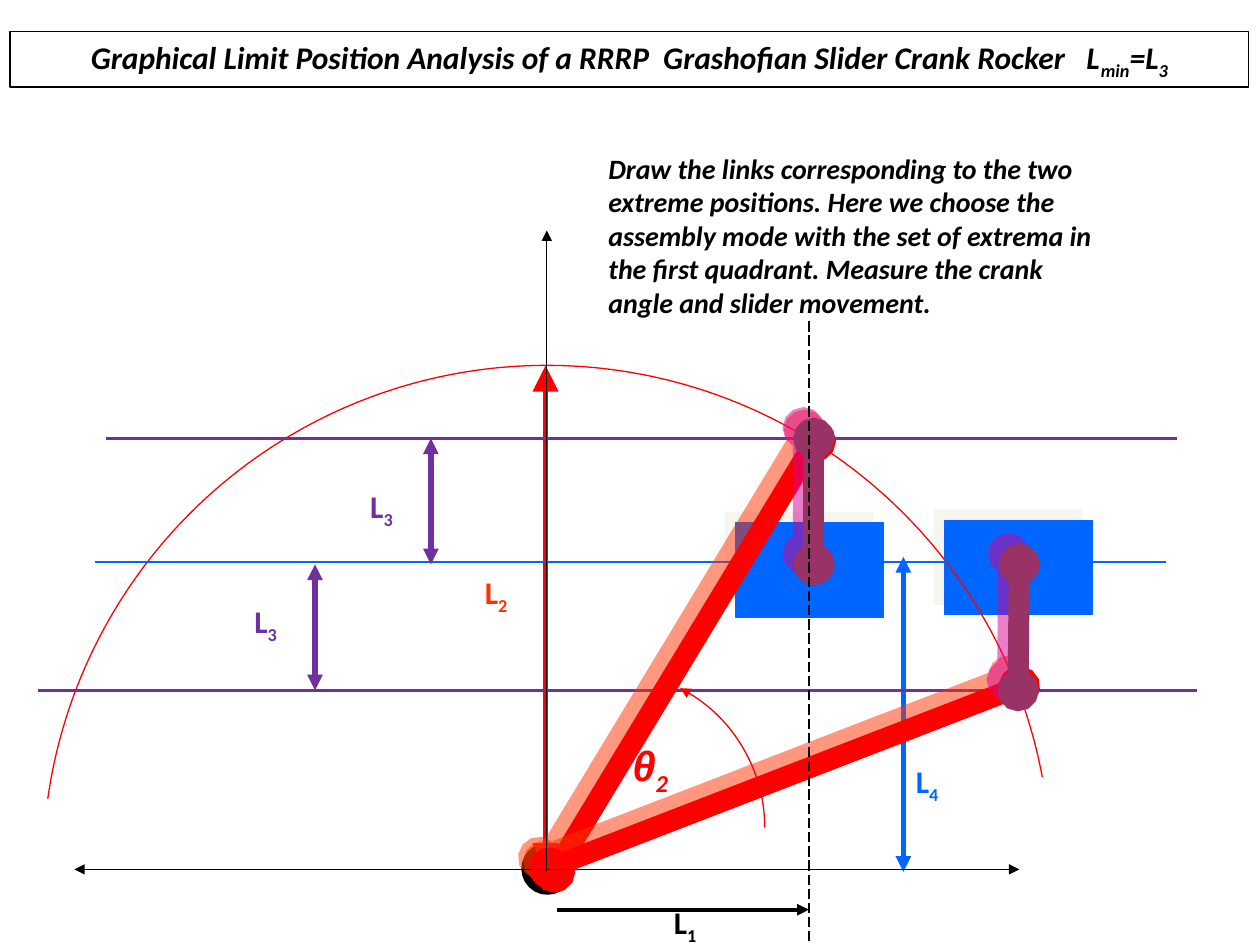
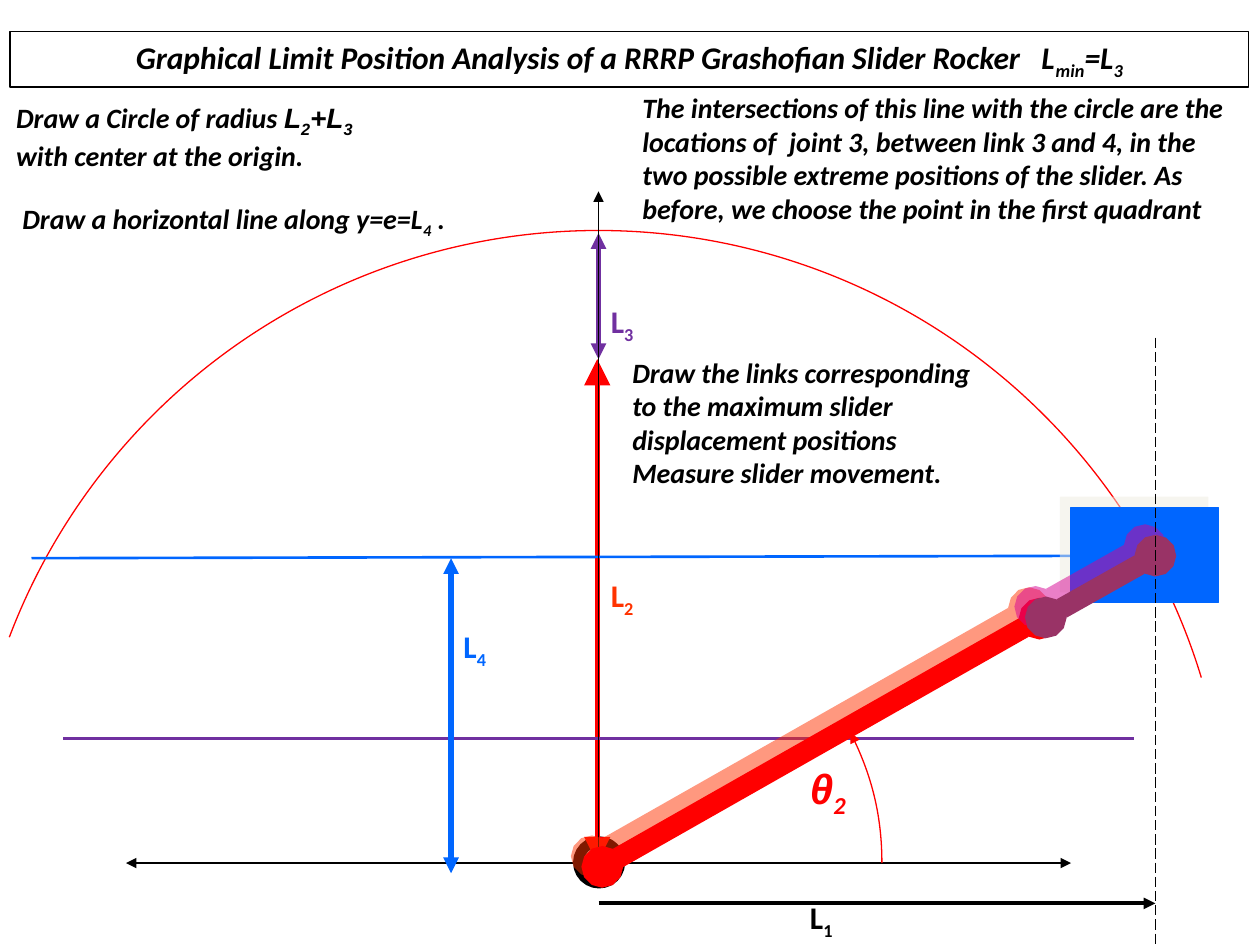
import math

from lxml import etree
from pptx import Presentation
from pptx import util as u
from pptx.dml.color import RGBColor
from pptx.enum import dml, shapes, text
from pptx.oxml import ns

COLORS = {
    "black": "000000", "white": "FFFFFF", "red": "FF0000", "orange": "FF3300",
    "blue": "0066FF", "purple": "7030A0", "plum": "993366", "pink": "D60093",
    "sand": "EEECE1",
}
BODY_FONT, SYMBOL_FONT = "Calibri", "Arial"
THIN, MEDIUM, ARROW, THICK, LINK = 0.75, 1.5, 3, 6, 12


def plain(words, font=BODY_FONT):
    return words, False, font


def sub(words, font=BODY_FONT):
    return words, True, font


class Sketch:
    """Holds the drawing style and the slide being drawn."""

    def __init__(self, presentation):
        self.presentation = presentation
        self.slide = None

    def new_slide(self):
        self.slide = self.presentation.slides.add_slide(self.presentation.slide_layouts[6])

    def color(self, name):
        return RGBColor.from_string(COLORS[name])

    # Outline, ends and shadow
    def outline(self, shape, color, width, head=None, tail=None, size="med"):
        shape.line.color.rgb = self.color(color)
        shape.line.width = u.Pt(width)
        line = shape.line._get_or_add_ln()
        for tag, kind in (("a:headEnd", head), ("a:tailEnd", tail)):
            if kind:
                etree.SubElement(line, ns.qn(tag), type=kind, w=size, len=size)

    def effects(self, shape, shadow=None):
        properties = shape._element.spPr
        effects = etree.SubElement(properties, ns.qn("a:effectLst"))
        if shadow:
            outer = etree.SubElement(effects, ns.qn("a:outerShdw"), dist=str(u.Pt(8.5)),
                                     dir=str(225 * 60000), algn="ctr", rotWithShape="0")
            tint = etree.SubElement(outer, ns.qn("a:srgbClr"), val=COLORS[shadow])
            etree.SubElement(tint, ns.qn("a:alpha"), val="50000")

    # Text
    def add_runs(self, frame, runs, size, color="black", italic=True):
        frame.word_wrap = True
        paragraph = frame.paragraphs[0]
        for words, is_sub, font in runs:
            run = paragraph.add_run()
            run.text = words
            run.font.name = font
            run.font.size = u.Pt(size)
            run.font.bold = True
            run.font.italic = italic
            run.font.color.rgb = self.color(color)
            if is_sub:
                run.font._element.set("baseline", "-25000")
        return paragraph

    def note(self, left, top, width, height, *runs, size=16, color="black", italic=True):
        box = self.slide.shapes.add_textbox(*map(u.Inches, (left, top, width, height)))
        self.add_runs(box.text_frame, runs, size, color, italic)

    def length_label(self, left, top, number, color):
        self.note(left, top, 0.5, 0.44, plain("L"), sub(number),
                  size=18, color=color, italic=False)

    def angle_label(self, left, top):
        self.note(left, top, 0.5, 0.56, plain("θ", SYMBOL_FONT), sub("2"),
                  size=24, color="red")

    # Shapes
    def shape(self, kind, left, top, width, height, fill, line, line_width,
              shadow=None, head=None):
        shape = self.slide.shapes.add_shape(kind, *map(u.Inches, (left, top, width, height)))
        if fill:
            shape.fill.solid()
            shape.fill.fore_color.rgb = self.color(fill)
        else:
            shape.fill.background()
        self.outline(shape, line, line_width, head)
        self.effects(shape, shadow)
        return shape

    def title(self, words):
        band = self.shape(shapes.MSO_SHAPE.RECTANGLE, 0.08, 0.25, 9.83, 0.44,
                          "white", "black", THIN)
        band.text_frame.vertical_anchor = text.MSO_ANCHOR.MIDDLE
        runs = plain(words + "   L"), sub("min"), plain("=L"), sub("3")
        self.add_runs(band.text_frame, runs, 18).alignment = text.PP_ALIGN.CENTER

    def slider(self, left, top):
        self.shape(shapes.MSO_SHAPE.RECTANGLE, left, top, 1.17, 0.75,
                   "blue", "blue", THIN, "sand")

    def pivot(self, left, top):
        self.shape(shapes.MSO_SHAPE.OVAL, left, top, 0.33, 0.33, "white", "black", THICK)

    def arc(self, center, radius, start, end, head=None):
        """Draw clockwise between two angles in degrees, measured from the right."""
        x, y = center
        arc = self.shape(shapes.MSO_SHAPE.ARC, x - radius, y - radius, 2 * radius, 2 * radius,
                         None, "red", THIN, head=head)
        for index, angle in enumerate((start, end)):
            arc.adjustments[index] = angle * 0.6

    # Lines
    def line(self, start, end, color="black", width=THIN, head=None, tail=None,
             size="med", shadow=None, dashed=False):
        line = self.slide.shapes.add_connector(
            shapes.MSO_CONNECTOR.STRAIGHT, *map(u.Inches, (*start, *end)))
        line.line.color.rgb = self.color(color)
        if dashed:
            line.line.dash_style = dml.MSO_LINE.LONG_DASH
        self.outline(line, color, width, head, tail, size)
        self.effects(line, shadow)

    def level(self, left, right, y, color):
        self.line((left, y), (right, y), color, MEDIUM)

    def dimension(self, x, bottom, top, color):
        self.line((x, bottom), (x, top), color, ARROW, "triangle", "triangle")

    def crank(self, x, bottom, top):
        self.line((x, bottom), (x, top), "red", ARROW, "triangle", "triangle", "lg")

    def link(self, start, end, color="red", shadow="orange"):
        self.line(start, end, color, LINK, "oval", "oval", "sm", shadow)

    def coupler(self, start, end):
        self.link(start, end, "plum", "pink")

    def vertical_axis(self, x, bottom, top):
        self.line((x, bottom), (x, top), tail="triangle")

    def horizontal_axis(self, left, y):
        self.line((left, y), (left + 7.5, y), head="triangle", tail="triangle")

    def offset(self, left, right, y, dash_top):
        self.line((left, y), (right, y), width=2.25, tail="triangle")
        self.line((right, dash_top), (right, dash_top + 4.92), dashed=True)


def angle_of(dx, dy):
    return math.degrees(math.atan2(dy, dx)) % 360


def draw_crank_rocker(sketch):
    sketch.new_slide()
    sketch.title("Graphical Limit Position Analysis of a RRRP  Grashofian Slider Crank Rocker")

    # Sliders, ground pivot and circle of radius L2
    sketch.slider(7.5, 4.13)
    sketch.slider(5.84, 4.15)
    sketch.pivot(4.18, 6.73)
    sketch.arc((4.34, 6.9), 4, angle_of(-3.96, -0.56), angle_of(3.93, -0.73))

    # Levels and lengths
    sketch.length_label(3.75, 4.5, "2", "orange")
    sketch.crank(4.33, 6.9, 2.9)
    sketch.level(0.75, 9.25, 4.46, "blue")
    sketch.dimension(7.17, 6.92, 4.42, "blue")
    sketch.length_label(7.17, 6, "4", "blue")
    sketch.level(0.84, 9.34, 3.48, "purple")
    sketch.level(0.3, 9.5, 5.48, "purple")
    for x, bottom, label_left, label_top in ((3.42, 4.48, 2.84, 3.82), (2.5, 5.48, 1.92, 4.73)):
        sketch.dimension(x, bottom, bottom - 1, "purple")
        sketch.length_label(label_left, label_top, "3", "purple")

    # Links in both extreme positions
    sketch.link((4.4, 6.92), (6.47, 3.5))
    sketch.coupler((6.46, 4.48), (6.46, 3.48))
    sketch.link((4.36, 6.89), (8.09, 5.45))
    sketch.coupler((8.08, 5.48), (8.09, 4.48))

    sketch.note(4.73, 1.15, 4.08, 1.44, plain(
        "Draw the links corresponding to the two extreme positions. Here we choose the "
        "assembly mode with the set of extrema in the first quadrant. Measure the crank "
        "angle and slider movement."))

    # Crank angle, axes and offset
    sketch.arc((4.82, 6.57), 1.25, angle_of(0.58, -1.11), 0, head="triangle")
    sketch.vertical_axis(4.34, 6.92, 1.83)
    sketch.horizontal_axis(0.59, 6.9)
    sketch.angle_label(4.92, 5.82)
    sketch.offset(4.42, 6.42, 7.22, 2.55)
    sketch.length_label(5.25, 7.12, "1", "black")


def draw_rocker(sketch):
    sketch.new_slide()
    sketch.title("Graphical Limit Position Analysis of a RRRP Grashofian Slider Rocker")

    # Ground pivot and circle of radius L2 + L3
    sketch.pivot(4.59, 6.68)
    sketch.arc((4.75, 6.83), 5, angle_of(-4.67, -1.77), angle_of(4.78, -1.45))

    # Levels and lengths
    sketch.length_label(4.75, 4.52, "2", "orange")
    sketch.crank(4.74, 6.85, 2.85)
    sketch.line((0.25, 4.43), (9.42, 4.41), "blue", MEDIUM)
    sketch.length_label(3.58, 4.93, "4", "blue")
    sketch.level(0.5, 9, 5.86, "purple")
    sketch.dimension(4.75, 2.85, 1.85, "purple")
    sketch.length_label(4.75, 2.35, "3", "purple")
    sketch.vertical_axis(4.75, 6.85, 1.52)
    sketch.horizontal_axis(1, 6.85)
    sketch.dimension(3.58, 6.93, 4.43, "blue")

    # Construction notes
    sketch.note(0.08, 1.55, 3.6, 0.41,
                plain("Draw a horizontal line along y=e=L"), sub("4"), plain(" ."))
    sketch.note(0.03, 0.75, 3.3, 0.67, plain("Draw a Circle of radius "),
                plain("L", SYMBOL_FONT), sub("2", SYMBOL_FONT),
                plain("+L", SYMBOL_FONT), sub("3", SYMBOL_FONT),
                plain(" with center at the origin."))
    sketch.note(5, 0.67, 4.95, 1.17, plain(
        "The intersections of this line with the circle are the locations of  joint 3, "
        "between link 3 and 4, in the two possible extreme positions of the slider. As "
        "before, we choose the point in the first quadrant"))

    # Slider and links at the extreme position
    sketch.slider(8.5, 4.03)
    sketch.link((4.78, 6.88), (8.25, 4.91))
    sketch.coupler((8.3, 4.9), (9.17, 4.41))
    sketch.note(4.92, 2.77, 3, 1.17, plain(
        "Draw the links corresponding to the maximum slider displacement positions "
        "Measure slider movement."))

    # Offset and crank angle
    sketch.offset(4.75, 9.17, 7.17, 2.68)
    sketch.length_label(6.33, 7.08, "1", "black")
    sketch.arc((4.73, 6.85), 2.27, angle_of(2.03, -1.04), 0, head="triangle")
    sketch.angle_label(6.33, 6)


def main():
    presentation = Presentation()
    presentation.slide_width, presentation.slide_height = u.Inches(10), u.Inches(7.5)
    sketch = Sketch(presentation)
    draw_crank_rocker(sketch)
    draw_rocker(sketch)
    presentation.save("out.pptx")


if __name__ == "__main__":
    main()
